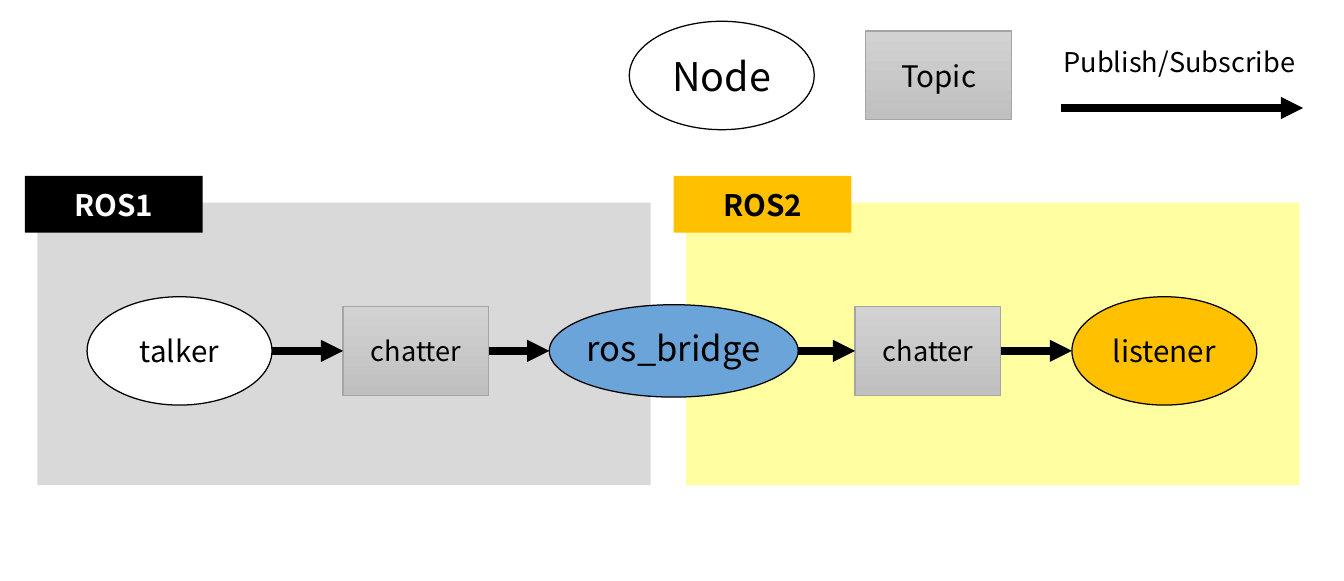
from pptx import Presentation
from pptx.util import Inches, Pt
from pptx.dml.color import RGBColor
from pptx.enum.shapes import MSO_SHAPE, MSO_CONNECTOR
from pptx.enum.text import MSO_ANCHOR, PP_ALIGN
from pptx.oxml.ns import qn
from lxml import etree

RECT, OVAL = MSO_SHAPE.RECTANGLE, MSO_SHAPE.OVAL
STRAIGHT = MSO_CONNECTOR.STRAIGHT
MIDDLE, CENTER = MSO_ANCHOR.MIDDLE, PP_ALIGN.CENTER
LEFT, RIGHT = 1, 3
FONT = "Noto Sans CJK JP"
COLORS = {
    "black": "000000", "white": "FFFFFF", "gray": "D9D9D9", "yellow": "FFFF00",
    "amber": "FFC000", "blue": "6AA4D9", "topic_top": "D2D2D2",
    "topic_bottom": "C0C0C0", "topic_line": "A5A5A5",
}
NODE = (1.04, 0.61)
TOPIC = (0.82, 0.5)
BRIDGE = (1.4, 0.52)


def rgb(name):
    """Look up a named colour."""
    return RGBColor.from_string(COLORS[name])


def write(shape, text, size, color="black", bold=False, wrap=False):
    """Write one centred line of text into a shape."""
    tf = shape.text_frame
    tf.word_wrap = wrap
    tf.vertical_anchor = MIDDLE
    p = tf.paragraphs[0]
    p.alignment = CENTER
    r = p.add_run()
    r.text = text
    r.font.name, r.font.size, r.font.bold = FONT, Pt(size), bold
    r.font.color.rgb = rgb(color)


def add_block(s, kind, box, fill, line=None):
    """Add a flat shape with an optional thin outline."""
    sp = s.shapes.add_shape(kind, *map(Inches, box))
    sp.shadow.inherit = False
    sp.fill.solid()
    sp.fill.fore_color.rgb = rgb(fill)
    if line:
        sp.line.color.rgb = rgb(line)
        sp.line.width = Pt(0.5)
    else:
        sp.line.fill.background()
    return sp


def add_node(s, left, mid, text, size, fill="white", dims=NODE):
    """Add an ellipse node centred on a horizontal axis."""
    w, h = dims
    sp = add_block(s, OVAL, (left, mid - h / 2, w, h), fill, "black")
    write(sp, text, size)
    return sp


def add_topic(s, left, mid, text, size):
    """Add a shaded topic box centred on a horizontal axis."""
    w, h = TOPIC
    sp = add_block(s, RECT, (left, mid - h / 2, w, h), "topic_top", "topic_line")
    sp.fill.gradient()
    sp.fill.gradient_angle = 270
    for stop, name in zip(sp.fill.gradient_stops, ("topic_top", "topic_bottom")):
        stop.color.rgb = rgb(name)
    write(sp, text, size)
    return sp


def add_arrow(s, x1, x2, y):
    """Add a thick horizontal arrow."""
    c = s.shapes.add_connector(STRAIGHT, *map(Inches, (x1, y, x2, y)))
    c.line.color.rgb = rgb("black")
    c.line.width = Pt(3)
    etree.SubElement(c.line._get_or_add_ln(), qn("a:tailEnd"), type="triangle")
    etree.SubElement(c._element.spPr, qn("a:effectLst"))
    return c


def add_panel(s, box, title, fill, tag_fill, tag_color, opacity=100):
    """Draw a version area with its tag over the top left corner."""
    x, y, w, h = box
    area = add_block(s, RECT, box, fill)
    if opacity < 100:
        color = area._element.spPr.find(qn("a:solidFill")).find(qn("a:srgbClr"))
        etree.SubElement(color, qn("a:alpha"), val=str(opacity * 1000))
    tag = add_block(s, RECT, (x - 0.07, y - 0.15, 1, 0.32), tag_fill)
    write(tag, title, 12, tag_color, bold=True, wrap=True)


def add_pipeline(s, box):
    """Draw the message chain from talker to listener."""
    x, y, w, h = box
    mid = y + h / 2
    talker = add_node(s, x, mid, "talker", 12)
    chatter1 = add_topic(s, x + 1.44, mid, "chatter", 11)
    bridge = add_node(s, x + (w - BRIDGE[0]) / 2 + 0.01, mid, "ros_bridge", 14, "blue", BRIDGE)
    bridge.text_frame.margin_bottom = Inches(0.08)
    chatter2 = add_topic(s, x + w - 1.44 - TOPIC[0], mid, "chatter", 11)
    listener = add_node(s, x + w - NODE[0], mid, "listener", 12, "amber")
    for node, topic, after in ((talker, chatter1, bridge), (bridge, chatter2, listener)):
        edges = (node.left + node.width, topic.left, topic.left + topic.width, after.left)
        x1, x2, x3, x4 = (edge / Inches(1) for edge in edges)
        add_arrow(s, x1, x2, mid).end_connect(topic, LEFT)
        add_arrow(s, x3, x4, mid).begin_connect(topic, RIGHT)


def add_legend(s, box):
    """Draw the key to nodes, topics and arrows."""
    x, y, w, h = box
    mid = y + h / 2
    add_node(s, x, mid, "Node", 16)
    add_topic(s, x + 1.33, mid, "Topic", 12)
    add_arrow(s, x + w - 1.36, x + w, y + 0.8 * h)
    tb = s.shapes.add_textbox(*map(Inches, (x + w - 1.46, y + 0.08, 1.53, 0.29)))
    write(tb, "Publish/Subscribe", 11)


def main():
    """Build the bridge diagram slide."""
    prs = Presentation()
    prs.slide_width, prs.slide_height = Inches(7.56), Inches(3.27)
    s = prs.slides.add_slide(prs.slide_layouts[6])
    add_panel(s, (0.21, 1.14, 3.45, 1.59), "ROS1", "gray", "black", "white")
    add_panel(s, (3.86, 1.14, 3.45, 1.59), "ROS2", "yellow", "amber", "black", 37)
    add_pipeline(s, (0.49, 1.67, 6.58, 0.61))
    add_legend(s, (3.54, 0.12, 3.79, 0.61))
    prs.save("out.pptx")


if __name__ == "__main__":
    main()
